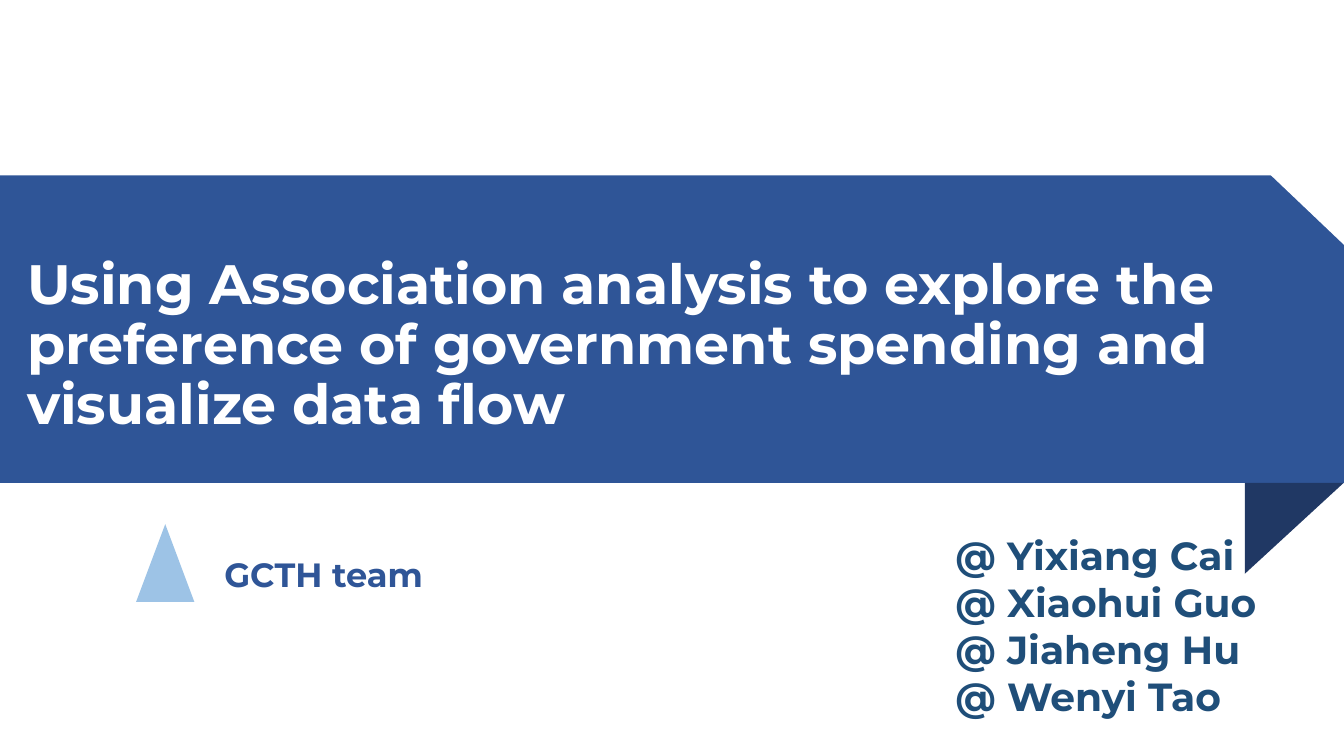
from pptx import Presentation
from pptx import util as u
from pptx.dml.color import RGBColor
from pptx.enum import shapes, text

BLUE = RGBColor(0x2F, 0x55, 0x97)
NAVY = RGBColor(0x20, 0x38, 0x64)
TEAL = RGBColor(0x1F, 0x4E, 0x79)
SKY = RGBColor(0x9D, 0xC3, 0xE6)
WHITE = RGBColor(0xFF, 0xFF, 0xFF)
FONT = "Montserrat"

AUTHORS = ["Yixiang Cai", "Xiaohui Guo", "Jiaheng Hu", "Wenyi Tao"]


def set_values(target, values):
    for name, value in values.items():
        setattr(target, name, value)


def place(shape, left, top, width, height):
    set_values(shape, {"left": u.Cm(left), "top": u.Cm(top),
                       "width": u.Cm(width), "height": u.Cm(height)})


def add_preset(slide, kind, box, color, rotation=0):
    shape = slide.shapes.add_shape(kind, *map(u.Cm, box))
    shape.shadow.inherit = False
    shape.fill.solid()
    shape.fill.fore_color.rgb = color
    shape.line.fill.background()
    shape.rotation = rotation
    return shape


def write_text(shape, lines, size, color, frame_format, paragraph_format):
    frame = shape.text_frame
    frame.text = "\n".join(lines)
    set_values(frame, frame_format)
    for paragraph in frame.paragraphs:
        set_values(paragraph, paragraph_format)
        for run in paragraph.runs:
            set_values(run.font, {"name": FONT, "size": u.Pt(size), "bold": True})
            run.font.color.rgb = color


def add_text(slide, box, *content):
    shape = slide.shapes.add_textbox(*map(u.Cm, box))
    write_text(shape, *content)


def format_title(slide, box, *content):
    title = slide.shapes.title
    place(title, *box)
    write_text(title, *content)
    # Bring the title in front of the band
    title.element.getparent().append(title.element)


def main():
    presentation = Presentation()
    set_values(presentation, {"slide_width": u.Cm(33.87), "slide_height": u.Cm(19.05)})
    slide = presentation.slides.add_slide(presentation.slide_layouts[5])
    kinds = shapes.MSO_SHAPE

    # Title band
    add_preset(slide, kinds.RECTANGLE, (0, 4.42, 33.91, 7.75), BLUE)
    format_title(
        slide, (0.43, 4.5, 31.57, 6.63),
        ["Using Association analysis to explore the preference of "
         "government spending and visualize data flow"],
        39.6, WHITE,
        {"word_wrap": True, "auto_size": text.MSO_AUTO_SIZE.NONE,
         "vertical_anchor": text.MSO_ANCHOR.BOTTOM},
        {"alignment": text.PP_ALIGN.LEFT, "line_spacing": 0.9})

    # Team name with its emblem
    add_text(slide, (3.2, 13.94, 9.91, 2.44), ["GCTH team"], 24, BLUE,
             {"word_wrap": True},
             {"alignment": text.PP_ALIGN.CENTER, "line_spacing": 0.9,
              "space_before": u.Pt(10)})
    add_preset(slide, kinds.ISOSCELES_TRIANGLE, (3.43, 13.21, 1.47, 1.96), SKY)

    # Authors
    add_text(slide, (23.83, 13.26, 8.18, 6.25),
             [f"@ {author}" for author in AUTHORS], 28, TEAL,
             {"word_wrap": False, "auto_size": text.MSO_AUTO_SIZE.SHAPE_TO_FIT_TEXT},
             {"alignment": text.PP_ALIGN.LEFT})

    # Cut corner and folded end of the band
    add_preset(slide, kinds.DIAGONAL_STRIPE, (32.11, 4.32, 3.53, 3.71), WHITE, 90)
    add_preset(slide, kinds.RIGHT_TRIANGLE, (31.47, 12.07, 2.29, 2.49), NAVY, 90)

    presentation.save("out.pptx")


main()
